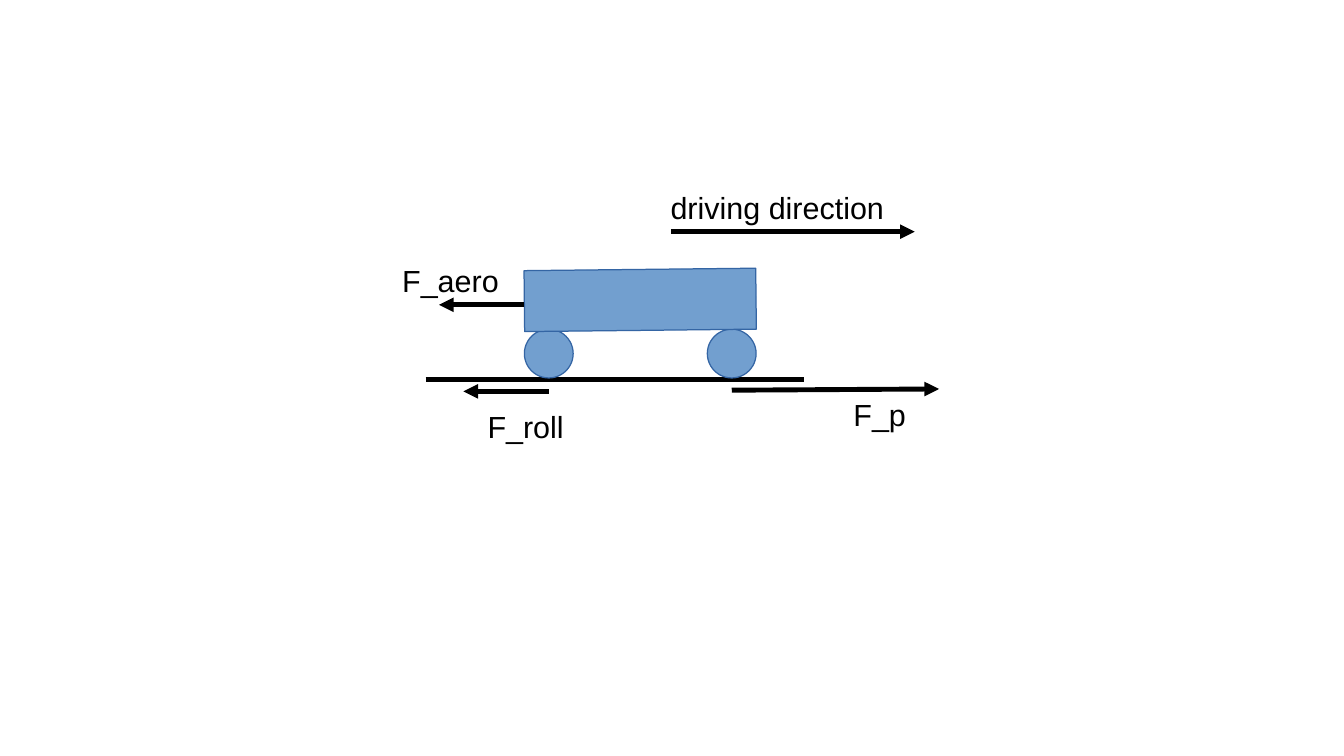
from dataclasses import dataclass

from lxml import etree
from pptx import Presentation
from pptx.dml.color import RGBColor
from pptx.enum.shapes import MSO_CONNECTOR, MSO_SHAPE
from pptx.enum.text import MSO_AUTO_SIZE
from pptx.oxml.ns import qn
from pptx.util import Pt

PX = 9144  # EMU per px, 100 px to the inch
BLANK_LAYOUT = 6
STRAIGHT = MSO_CONNECTOR.STRAIGHT
RECT, OVAL = MSO_SHAPE.RECTANGLE, MSO_SHAPE.OVAL
GROW = MSO_AUTO_SIZE.SHAPE_TO_FIT_TEXT


@dataclass(frozen=True)
class Theme:
    font: str = "Arial"
    size: float = 18
    ink: RGBColor = RGBColor(0x00, 0x00, 0x00)
    body: RGBColor = RGBColor(0x72, 0x9F, 0xCF)
    outline: RGBColor = RGBColor(0x34, 0x65, 0xA4)
    stroke: float = 2.89
    hairline: float = 0


class Diagram:
    def __init__(self, slide, theme):
        self.s = slide
        self.theme = theme

    def shape(self, kind, x, y, w, h, rotation=0):
        sp = self.s.shapes.add_shape(kind, x * PX, y * PX, w * PX, h * PX)
        sp.shadow.inherit = False
        sp.rotation = rotation
        sp.fill.solid()
        sp.fill.fore_color.rgb = self.theme.body
        sp.line.color.rgb = self.theme.outline
        sp.line.width = Pt(self.theme.hairline)

    def line(self, x1, y1, x2, y2, arrow=True):
        c = self.s.shapes.add_connector(
            STRAIGHT, x1 * PX, y1 * PX, x2 * PX, y2 * PX)
        c.line.color.rgb = self.theme.ink
        c.line.width = Pt(self.theme.stroke)
        if arrow:
            ln = c.line._get_or_add_ln()
            etree.SubElement(ln, qn("a:tailEnd"), type="triangle")
        etree.SubElement(c._element.spPr, qn("a:effectLst"))

    def label(self, text, x, y, w, h=40):
        tb = self.s.shapes.add_textbox(x * PX, y * PX, w * PX, h * PX)
        tf = tb.text_frame
        tf.word_wrap = True
        tf.auto_size = GROW
        r = tf.paragraphs[0].add_run()
        r.text = text
        r.font.name = self.theme.font
        r.font.size = Pt(self.theme.size)
        r.font.color.rgb = self.theme.ink


def main():
    prs = Presentation()
    prs.slide_width, prs.slide_height = 1102 * PX, 620 * PX
    s = prs.slides.add_slide(prs.slide_layouts[BLANK_LAYOUT])
    d = Diagram(s, Theme())

    # Road and vehicle
    d.line(349, 311, 659, 311, arrow=False)
    for wheel_x in (430, 580):
        d.shape(OVAL, wheel_x, 270, 40, 40)
    d.shape(RECT, 430, 221, 190, 50, rotation=359.4)

    # Forces: propulsion, rolling resistance, air drag
    d.line(600, 320, 770, 319)
    d.line(450, 321, 380, 321)
    d.line(430, 250, 360, 250)
    d.label("F_p", 690, 320, 80)
    d.label("F_roll", 390, 330, 90)
    d.label("F_aero", 320, 210, 100)

    # Driving direction
    d.line(550, 190, 750, 190)
    d.label("driving direction", 540, 150, 200, 42)

    prs.save("out.pptx")


if __name__ == "__main__":
    main()
